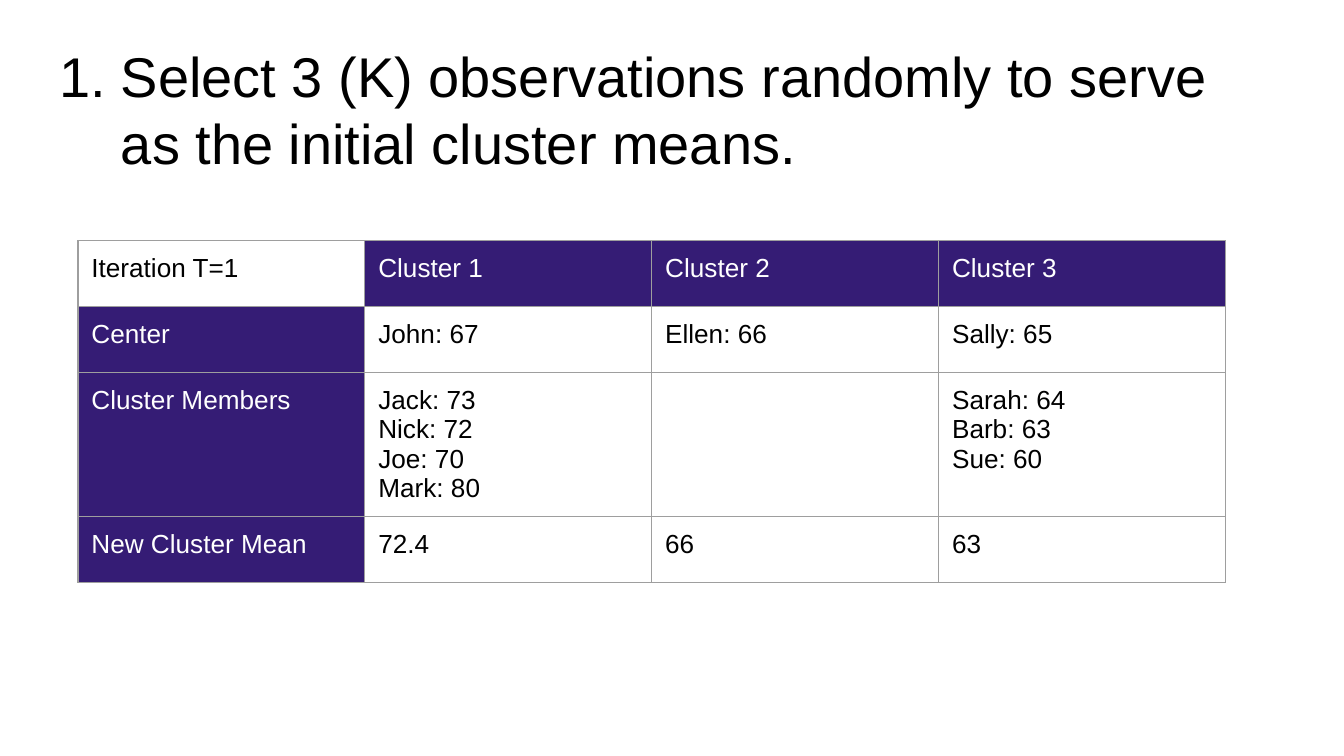
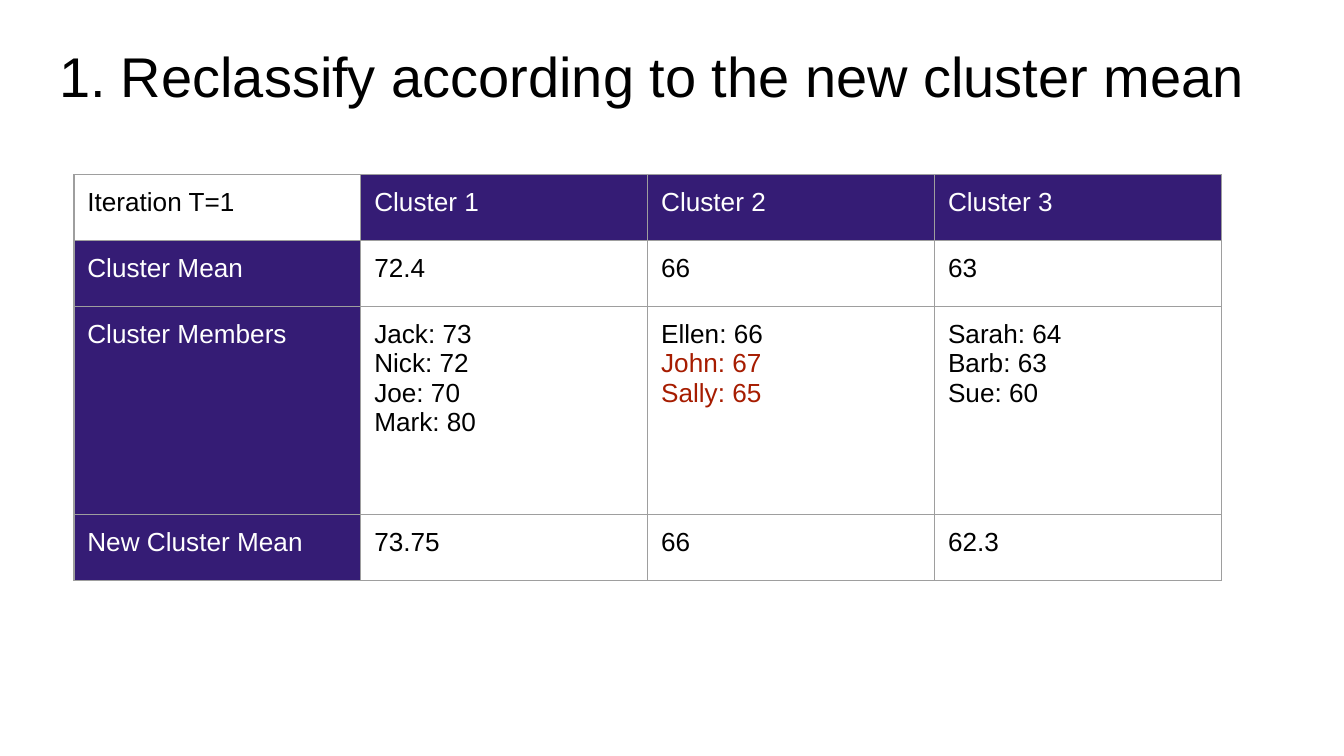
from lxml.etree import SubElement
from pptx import Presentation
from pptx.dml.color import RGBColor
from pptx.enum.text import MSO_ANCHOR, MSO_AUTO_SIZE, PP_ALIGN
from pptx.oxml.ns import qn
from pptx.util import Inches, Pt

FONT, BLACK, WHITE, PURPLE, RED, GREY = "Arial", "000000", "FFFFFF", "351C75", "A61C00", "9E9E9E"
SLIDE_W = 10
SLIDE_H = SLIDE_W * 9 / 16
HEADING_BOX = (0.3, 0.21, 9.2, 1.26)
TABLE_W, ROW_H, MARGIN = 8.54, 0.49, 0.1
MEMBERS_ROW = 2

HEADER = ["Iteration T=1", "Cluster 1", "Cluster 2", "Cluster 3"]
TALL = ["Jack: 73", "Nick: 72", "Joe: 70", "Mark: 80"]
SHORT = ["Sarah: 64", "Barb: 63", "Sue: 60"]
COLUMN_W = TABLE_W / len(HEADER)

STEPS = [
    {
        "heading": "Select 3 (K) observations randomly to serve as the initial cluster means.",
        "corner": (0.58, 1.79),
        "members_height": 0.88,
        "moved": [],
        "rows": [
            HEADER,
            ["Center", "John: 67", "Ellen: 66", "Sally: 65"],
            ["Cluster Members", TALL, [], SHORT],
            ["New Cluster Mean", "72.4", "66", "63"],
        ],
    },
    {
        "heading": "Reclassify according to the new cluster mean",
        "corner": (0.55, 1.3),
        "members_height": 1.55,
        "moved": ["John: 67", "Sally: 65"],
        "rows": [
            HEADER,
            ["Cluster Mean", "72.4", "66", "63"],
            ["Cluster Members", TALL, ["Ellen: 66", "John: 67", "Sally: 65"], SHORT],
            ["New Cluster Mean", "73.75", "66", "62.3"],
        ],
    },
]


def rgb(value):
    return RGBColor.from_string(value)


def write(paragraph, text, size=14, color=BLACK):
    paragraph.alignment = PP_ALIGN.LEFT
    run = paragraph.add_run()
    run.text = text
    run.font.name, run.font.size = FONT, Pt(size)
    run.font.color.rgb = rgb(color)


def set_margins(holder):
    for side in ("left", "right", "top", "bottom"):
        setattr(holder, f"margin_{side}", Inches(MARGIN))


def number(paragraph):
    properties = paragraph._p.get_or_add_pPr()
    properties.set("marL", str(Inches(0.5)))
    properties.set("indent", str(Inches(-0.46)))
    bullet_color = SubElement(properties, qn("a:buClr"))
    SubElement(bullet_color, qn("a:srgbClr"), val=BLACK)
    SubElement(properties, qn("a:buFont"), typeface=FONT)
    SubElement(properties, qn("a:buAutoNum"), type="arabicPeriod")


def add_borders(cell):
    properties = cell._tc.get_or_add_tcPr()
    for edge in ("a:lnL", "a:lnR", "a:lnT", "a:lnB"):
        line = SubElement(properties, qn(edge), w=str(Pt(0.75)))
        SubElement(SubElement(line, qn("a:solidFill")), qn("a:srgbClr"), val=GREY)


def add_heading(slide, text):
    heading = slide.shapes.title
    heading.left, heading.top, heading.width, heading.height = map(Inches, HEADING_BOX)
    frame = heading.text_frame
    set_margins(frame)
    frame.word_wrap = True
    frame.auto_size = MSO_AUTO_SIZE.NONE
    frame.vertical_anchor = MSO_ANCHOR.TOP
    write(frame.paragraphs[0], text, size=30)
    number(frame.paragraphs[0])


def fill_cell(cell, content, is_label, moved):
    set_margins(cell)
    add_borders(cell)
    if is_label:
        cell.fill.solid()
        cell.fill.fore_color.rgb = rgb(PURPLE)
    else:
        cell.fill.background()
    frame = cell.text_frame
    for i, entry in enumerate([content] if isinstance(content, str) else content):
        paragraph = frame.add_paragraph() if i else frame.paragraphs[0]
        color = WHITE if is_label else RED if entry in moved else BLACK
        write(paragraph, entry, color=color)


def add_clusters(slide, step):
    rows = step["rows"]
    heights = [ROW_H] * len(rows)
    heights[MEMBERS_ROW] = step["members_height"]
    box = (*step["corner"], TABLE_W, sum(heights))
    clusters = slide.shapes.add_table(len(rows), len(HEADER), *map(Inches, box)).table
    clusters.first_row = clusters.horz_banding = False
    for column in clusters.columns:
        column.width = Inches(COLUMN_W)
    for r, row in enumerate(rows):
        clusters.rows[r].height = Inches(heights[r])
        for c, content in enumerate(row):
            fill_cell(clusters.cell(r, c), content, (r == 0) != (c == 0), step["moved"])


deck = Presentation()
deck.slide_width, deck.slide_height = Inches(SLIDE_W), Inches(SLIDE_H)
for step in STEPS:
    slide = deck.slides.add_slide(deck.slide_layouts[5])
    add_heading(slide, step["heading"])
    add_clusters(slide, step)
deck.save("out.pptx")
